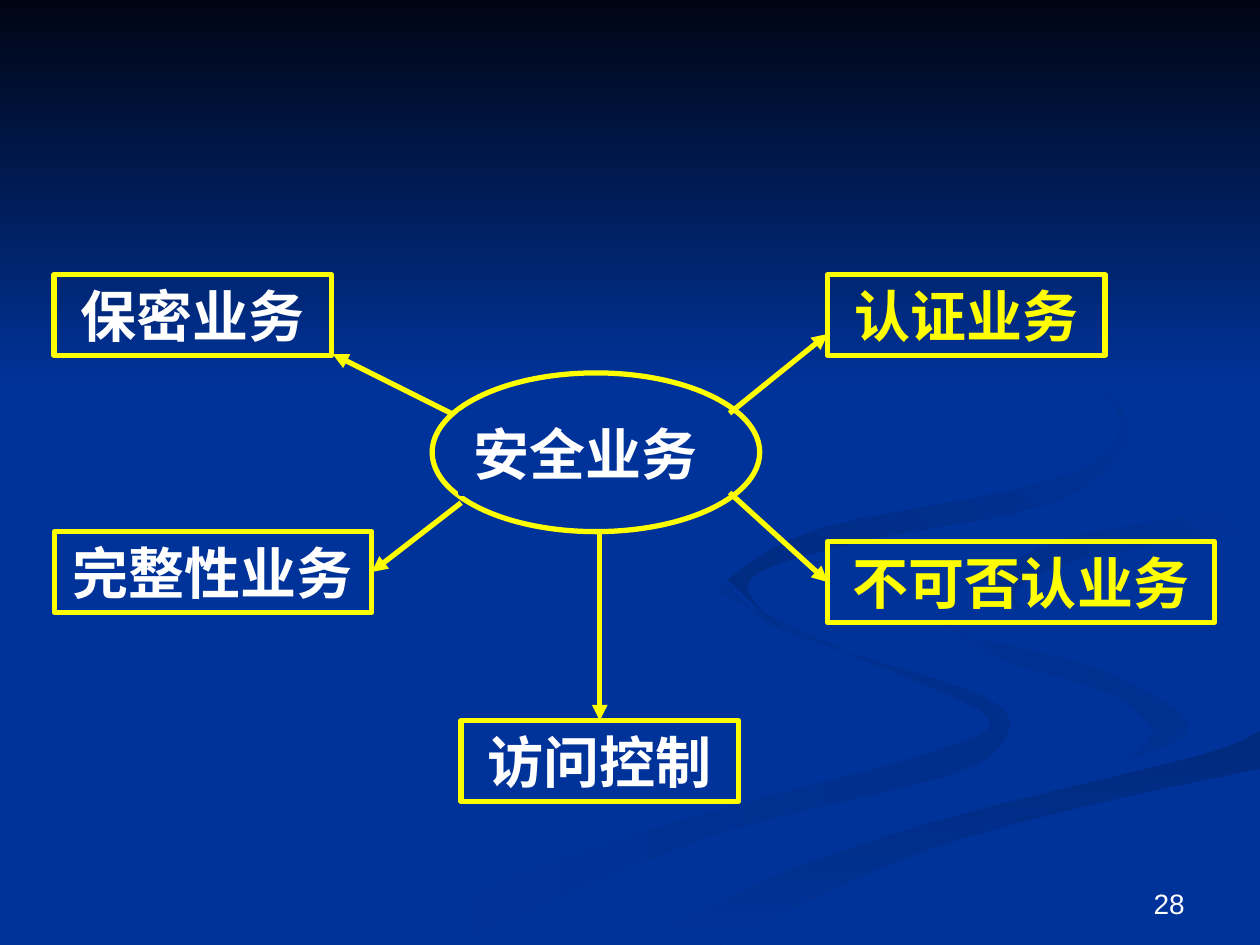
from dataclasses import dataclass
from typing import Optional

from lxml import etree
from pptx import Presentation
from pptx import util as u
from pptx.dml.color import RGBColor
from pptx.enum import shapes, text
from pptx.oxml import ns

# The slide is a grid of 100 columns by 75 rows of square cells.
COLUMNS, ROWS = 100, 75
CELL = u.Inches(0.1)
BOX_ROWS = 6.4
CURVE_STEPS = 5
TOP, LEFT, RIGHT = 0, 1, 3  # connection sites of a rectangle


@dataclass(frozen=True)
class Theme:
    background: str = "003399"
    night: str = "000514"
    accent: str = "FFFF00"
    white: str = "FFFFFF"
    font: str = "Arial"
    label_size: int = 32
    number_size: int = 16
    line_width: int = 3


@dataclass(frozen=True)
class Ribbon:
    """A band between smooth edges, each given by a few knots."""
    edges: tuple
    colors: tuple
    angle: int = 0  # clockwise from left to right


@dataclass(frozen=True)
class Service:
    label: str
    left: float
    top: float
    columns: float
    color: str
    arrow_start: tuple
    arrow_end: tuple
    site: Optional[int] = None


THEME = Theme()
BLUE = THEME.background
SHORE = ((50, 75), (62, 69.3), (76, 64.7), (95, 60), (COLUMNS, 58))

RIBBONS = (
    Ribbon((((57.5, 46), (61, 49.5), (68, 52), (78, 55.3), (80, 58), (75.6, 61.4), (56, 66.5),
             (36, 75)),
            ((30, 75), (42, 69), (58, 64), (73, 60), (78.5, 57), (68, 52.1), (57, 47))),
           (BLUE, "002E8B")),
    Ribbon((((72.4, 46.4), (76, 50), (87, 53), (94.3, 57.5), (89.4, 60.5)),
            ((91.7, 58), (88, 55), (78, 51.8), (72.5, 47))), (BLUE, "002E8B"), 315),
    Ribbon((SHORE, ((COLUMNS, 61), (86, 64), (72, 68), (57, 75))), ("002A7D", BLUE), 90),
    Ribbon((((48, 75), (62, 68.4), (78, 63.4), (92, 60), (94.3, 57), (87, 53), (76, 50),
             (72.5, 46), (78, 42.5), (92, 40), (COLUMNS, 38.7)),
            ((COLUMNS, 40.2), (85, 42.7), (78, 46.3), (85, 50.5), (COLUMNS, 53.8)),
            SHORE[::-1]), (BLUE,)),
    Ribbon((((78, 46), (85, 42.7), (COLUMNS, 40.2)),
            ((COLUMNS, 42), (86, 44.3), (80.5, 47), (82.6, 49.6))), ("002D86", BLUE), 315),
    Ribbon((((76, 23), (86, 29), (89.4, 35), (83, 40), (68, 43), (59.5, 46), (62, 50)),
            ((57.7, 46), (65, 42), (84, 38), (89, 33.5), (84, 28))), ("002B82", BLUE), 315),
    Ribbon((((0, 0), (COLUMNS, 0)), ((COLUMNS, 30.8), (0, 30.8))), (THEME.night, BLUE), 90),
)

SERVICES = (
    Service("保密业务", 4.3, 21.8, 22, THEME.white, (35.8, 32.8), (26.4, 28.1)),
    Service("认证业务", 65.7, 21.8, 22, THEME.accent, (57.9, 32.8), (65.7, 26.5)),
    Service("完整性业务", 4.3, 42.2, 25.2, THEME.white, (36.6, 39.9), (29.5, 45.4), RIGHT),
    Service("不可否认业务", 65.7, 43, 30.7, THEME.accent, (57.9, 39.1), (65.7, 46.2), LEFT),
    Service("访问控制", 36.6, 57.2, 22, THEME.white, (47.6, 42.2), (47.6, 57.2), TOP),
)


def cells(*counts: float) -> list[int]:
    return [round(count * CELL) for count in counts]


def rgb(color: str) -> RGBColor:
    return RGBColor.from_string(color)


def smooth(knots: tuple) -> list[tuple]:
    """Return points on the Catmull-Rom curve through the knots."""
    padded = (knots[0], *knots, knots[-1])
    points = []
    for window in zip(padded, padded[1:], padded[2:], padded[3:]):
        for step in range(CURVE_STEPS):
            t = step / CURVE_STEPS
            points.append(tuple(
                b + t * ((c - a) + t * (2 * a - 5 * b + 4 * c - d
                                        + t * (3 * b - a - 3 * c + d))) / 2
                for a, b, c, d in zip(*window)))
    return points + [knots[-1]]


def write_text(shape, content: str, *, size: int, color: str, bold: bool = False,
               align=text.PP_ALIGN.CENTER, anchor=text.MSO_ANCHOR.MIDDLE) -> None:
    frame = shape.text_frame
    frame.word_wrap = True
    frame.vertical_anchor = anchor
    paragraph = frame.paragraphs[0]
    paragraph.text = content
    paragraph.alignment = align
    font = paragraph.font
    font.name, font.size, font.bold = THEME.font, u.Pt(size), bold
    font.color.rgb = rgb(color)


def add_ribbon(slide, ribbon: Ribbon) -> None:
    start, *others = [cells(*point) for edge in ribbon.edges for point in smooth(edge)]
    builder = slide.shapes.build_freeform(*start)
    builder.add_line_segments(others, close=True)
    shape = builder.convert_to_shape()
    shape.shadow.inherit = False
    shape.line.fill.background()
    if len(ribbon.colors) == 1:
        shape.fill.solid()
        shape.fill.fore_color.rgb = rgb(ribbon.colors[0])
        return
    shape.fill.gradient()
    shape.fill.gradient_angle = -ribbon.angle % 360
    for stop, color in zip(shape.fill.gradient_stops, ribbon.colors):
        stop.color.rgb = rgb(color)


def add_outline(slide, kind, *place: float, line: str = THEME.accent,
                fill: Optional[str] = None):
    shape = slide.shapes.add_shape(kind, *cells(*place))
    shape.shadow.inherit = False
    shape.line.color.rgb = rgb(line)
    shape.line.width = u.Pt(THEME.line_width)
    if fill:
        shape.fill.solid()
        shape.fill.fore_color.rgb = rgb(fill)
    else:
        shape.fill.background()
    return shape


def add_service(slide, service: Service) -> None:
    """Draw a service box and the arrow that leads to it."""
    box = add_outline(slide, shapes.MSO_SHAPE.RECTANGLE, service.left, service.top,
                      service.columns, BOX_ROWS)
    write_text(box, service.label, size=THEME.label_size, color=service.color, bold=True)
    arrow = slide.shapes.add_connector(shapes.MSO_CONNECTOR.STRAIGHT,
                                       *cells(*service.arrow_start, *service.arrow_end))
    if service.site is not None:
        arrow.end_connect(box, service.site)
    arrow.line.color.rgb = rgb(THEME.accent)
    arrow.line.width = u.Pt(THEME.line_width)
    etree.SubElement(arrow.line._get_or_add_ln(), ns.qn("a:tailEnd"), type="triangle")
    etree.SubElement(arrow._element.spPr, ns.qn("a:effectLst"))


def main() -> None:
    presentation = Presentation()
    presentation.slide_width, presentation.slide_height = cells(COLUMNS, ROWS)
    slide = presentation.slides.add_slide(presentation.slide_layouts.get_by_name("Blank"))
    slide.background.fill.solid()
    slide.background.fill.fore_color.rgb = rgb(THEME.background)
    for ribbon in RIBBONS:
        add_ribbon(slide, ribbon)
    number = slide.shapes.add_textbox(*cells(71.7, 68.3, 23.3, 5.2))
    write_text(number, "28", size=THEME.number_size, color=THEME.white,
               align=text.PP_ALIGN.RIGHT, anchor=text.MSO_ANCHOR.BOTTOM)
    add_outline(slide, shapes.MSO_SHAPE.OVAL, 34.3, 29.6, 26, 12.6)
    hub = add_outline(slide, shapes.MSO_SHAPE.RECTANGLE, 36.6, 32.8, 21.3, BOX_ROWS,
                      line=THEME.background, fill=THEME.background)
    write_text(hub, "安全业务", size=THEME.label_size, color=THEME.white, bold=True,
               align=text.PP_ALIGN.LEFT)
    for service in SERVICES:
        add_service(slide, service)
    presentation.save("out.pptx")


if __name__ == "__main__":
    main()
